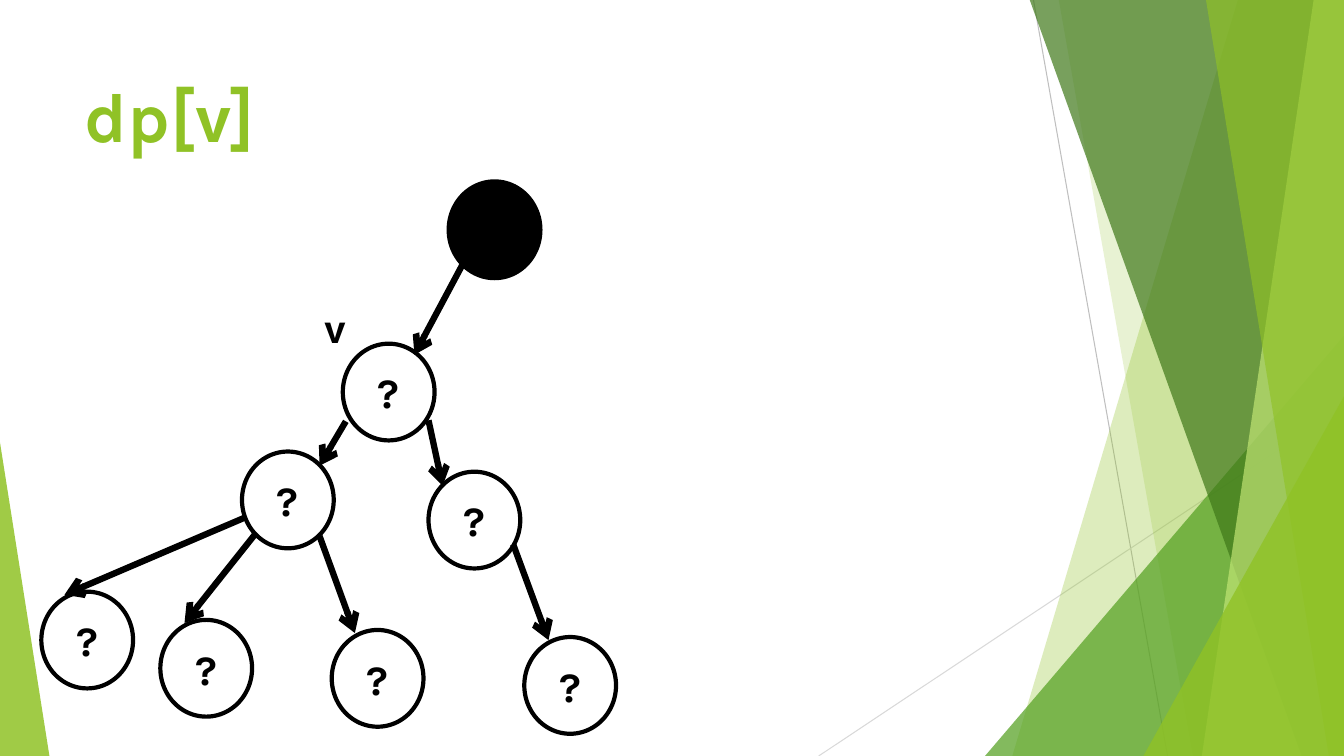
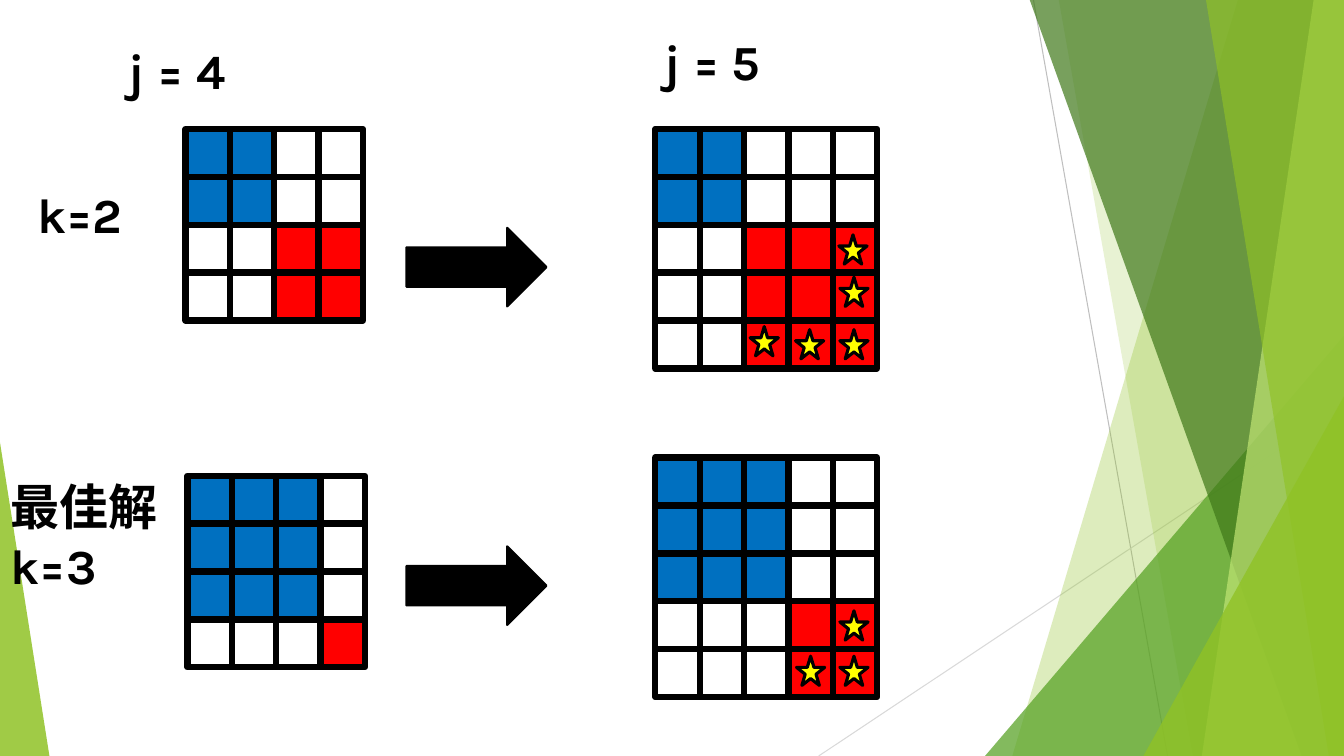
from dataclasses import dataclass

from lxml.etree import SubElement
from pptx import Presentation
from pptx.dml.color import RGBColor
from pptx.enum.shapes import MSO_CONNECTOR, MSO_SHAPE
from pptx.enum.text import MSO_ANCHOR, MSO_AUTO_SIZE, PP_ALIGN
from pptx.oxml.ns import qn
from pptx.util import Inches, Pt

BLACK = RGBColor(0x00, 0x00, 0x00)
BLUE = RGBColor(0x00, 0x70, 0xC0)
RED = RGBColor(0xFF, 0x00, 0x00)
YELLOW = RGBColor(0xFF, 0xFF, 0x00)
LIME = RGBColor(0x90, 0xC2, 0x26)
PALE_LIME = RGBColor(0xC0, 0xE4, 0x74)
GREEN = RGBColor(0x54, 0xA0, 0x21)
DARK_GREEN = RGBColor(0x3F, 0x78, 0x19)
GRAY = RGBColor(0xBF, 0xBF, 0xBF)
LIGHT_GRAY = RGBColor(0xD9, 0xD9, 0xD9)

FONT = "Karla"
WIDTH, HEIGHT = 13.33, 7.5
BAND_TOP = -0.01
NODE_W, NODE_H = 0.91, 0.96
CELL_W, CELL_H = 0.44, 0.95 / 2
STAR_W, STAR_H = 0.28, 0.29


@dataclass
class Band:
    top_x: float
    bottom_x: float
    color: RGBColor
    alpha: int


@dataclass
class Wedge:
    left: float
    top: float
    width: float
    apex: float
    color: RGBColor
    alpha: int


@dataclass
class Node:
    left: float
    top: float
    label: str = "?"


@dataclass
class Edge:
    x1: float
    y1: float
    x2: float
    y2: float


@dataclass
class Grid:
    left: float
    top: float
    size: int
    blue: int


@dataclass
class Label:
    text: str
    left: float
    top: float
    width: float
    height: float


FACETS = [
    Band(12.28, 10.04, LIME, 30),
    Band(10.5, 11.83, LIME, 20),
    Wedge(9.77, 3.33, 3.56, 1, GREEN, 72),
    Band(10.21, 12.91, DARK_GREEN, 70),
    Band(13.03, 11.92, PALE_LIME, 70),
    Band(11.96, 13.18, LIME, 65),
    Wedge(11.34, 3.93, 1.99, 1, LIME, 80),
    Wedge(0, 4.39, 0.49, 0, LIME, 85),
]

NODES = [
    Node(3.4, 3.41), Node(4.25, 4.68), Node(2.4, 4.48), Node(5.2, 6.32),
    Node(3.29, 6.25), Node(1.59, 6.15), Node(0.41, 5.87),
]

EDGES = [
    Edge(4.59, 2.62, 4.11, 3.52),
    Edge(4.25, 4.17, 4.39, 4.82),
    Edge(3.43, 4.18, 3.17, 4.62),
    Edge(5.09, 5.4, 5.44, 6.35),
    Edge(3.17, 5.32, 3.52, 6.28),
    Edge(2.53, 5.3, 1.83, 6.18),
    Edge(2.44, 5.13, 0.64, 5.9),
]

GRIDS = [
    Grid(1.84, 1.28, 4, 2), Grid(1.86, 4.72, 4, 3),
    Grid(6.5, 1.28, 5, 2), Grid(6.5, 4.54, 5, 3),
]

LABELS = [
    Label("j = 4", 1.18, 0.35, 1.43, 0.69),
    Label("j = 5", 6.49, 0.26, 1.43, 0.69),
    Label("k=2", 0.27, 1.78, 1.16, 0.69),
    Label("最佳解\nk=3", 0.01, 4.68, 1.81, 1.28),
]

STARS = [
    (8.33, 3.27), (8.33, 2.75), (7.89, 3.27), (7.44, 3.24),
    (8.32, 2.33), (8.33, 6.06), (8.33, 6.51), (7.9, 6.51),
]


def write(tf, text: str, *, size: float, color: RGBColor = BLACK,
          align=PP_ALIGN.LEFT, anchor=MSO_ANCHOR.TOP, wrap: bool = True) -> None:
    tf.word_wrap = wrap
    tf.vertical_anchor = anchor
    for i, line in enumerate(text.split("\n")):
        p = tf.add_paragraph() if i else tf.paragraphs[0]
        p.alignment = align
        r = p.add_run()
        r.text = line
        r.font.name = FONT
        r.font.size = Pt(size)
        r.font.bold = True
        r.font.color.rgb = color


def paint(shape, fill: RGBColor | None, line_width: float = 0, alpha: int = 100) -> None:
    shape.shadow.inherit = False
    if fill is None:
        shape.fill.background()
    else:
        shape.fill.solid()
        shape.fill.fore_color.rgb = fill
        if alpha < 100:
            clr = shape.element.spPr.find(".//" + qn("a:srgbClr"))
            SubElement(clr, qn("a:alpha"), val=str(alpha * 1000))
    if line_width:
        shape.line.color.rgb = BLACK
        shape.line.width = Pt(line_width)
    else:
        shape.line.fill.background()


def add_shape(s, kind, left: float, top: float, width: float, height: float,
              fill: RGBColor | None, line_width: float = 0, alpha: int = 100):
    shape = s.shapes.add_shape(kind, Inches(left), Inches(top), Inches(width), Inches(height))
    paint(shape, fill, line_width, alpha)
    return shape


def add_line(s, edge: Edge, color: RGBColor, width: float, arrow: bool = False):
    line = s.shapes.add_connector(MSO_CONNECTOR.STRAIGHT, Inches(edge.x1), Inches(edge.y1),
                                  Inches(edge.x2), Inches(edge.y2))
    line.line.color.rgb = color
    line.line.width = Pt(width)
    sp_pr = line.element.spPr
    if arrow:
        SubElement(sp_pr.find(qn("a:ln")), qn("a:tailEnd"), type="arrow")
    SubElement(sp_pr, qn("a:effectLst"))
    return line


def add_label(s, label: Label, size: float, wrap: bool = True) -> None:
    box = s.shapes.add_textbox(Inches(label.left), Inches(label.top),
                               Inches(label.width), Inches(label.height))
    write(box.text_frame, label.text, size=size, wrap=wrap)
    box.text_frame.auto_size = MSO_AUTO_SIZE.SHAPE_TO_FIT_TEXT


def add_facet(s, facet: Band | Wedge):
    if isinstance(facet, Wedge):
        shape = add_shape(s, MSO_SHAPE.ISOSCELES_TRIANGLE, facet.left, facet.top, facet.width,
                          HEIGHT - facet.top, facet.color, alpha=facet.alpha)
        shape.adjustments[0] = facet.apex
        return shape
    outline = s.shapes.build_freeform(Inches(facet.top_x), Inches(BAND_TOP))
    corners = [(WIDTH, BAND_TOP), (WIDTH, HEIGHT), (facet.bottom_x, HEIGHT)]
    outline.add_line_segments([(Inches(x), Inches(y)) for x, y in corners])
    shape = outline.convert_to_shape()
    paint(shape, facet.color, alpha=facet.alpha)
    return shape


def decorate_master(prs, s) -> None:
    parts = [add_line(s, Edge(10.25, 0, 11.58, HEIGHT), GRAY, 0.75),
             add_line(s, Edge(WIDTH, 4.03, 8.12, HEIGHT), LIGHT_GRAY, 0.75)]
    parts += [add_facet(s, facet) for facet in FACETS]
    tree = prs.slide_master.shapes.element
    for i, part in enumerate(parts):
        part.element.find(".//" + qn("p:cNvPr")).set("id", str(100 + i))
        tree.insert(2 + i, part.element)


def add_node(s, node: Node, fill: RGBColor | None = None) -> None:
    shape = add_shape(s, MSO_SHAPE.OVAL, node.left, node.top, NODE_W, NODE_H, fill, 3)
    if node.label:
        write(shape.text_frame, node.label, size=30, align=PP_ALIGN.CENTER,
              anchor=MSO_ANCHOR.MIDDLE)


def add_grid(s, grid: Grid) -> None:
    for row in range(grid.size):
        for col in range(grid.size):
            fill = None
            if max(row, col) < grid.blue:
                fill = BLUE
            elif min(row, col) >= grid.blue:
                fill = RED
            add_shape(s, MSO_SHAPE.RECTANGLE, grid.left + col * CELL_W,
                      grid.top + row * CELL_H, CELL_W, CELL_H, fill, 4.5)


def build_tree(s) -> None:
    title = s.shapes.title
    title.left, title.top = Inches(0.74), Inches(0.67)
    title.width, title.height = Inches(9.4), Inches(1.44)
    write(title.text_frame, "dp[v]", size=50, color=LIME)
    add_node(s, Node(4.45, 1.8, ""), BLACK)
    for node in NODES:
        add_node(s, node)
    for edge in EDGES:
        add_line(s, edge, BLACK, 4.5, arrow=True)
    add_label(s, Label("v", 3.12, 2.94, 0.42, 0.61), 30, wrap=False)


def build_grids(s) -> None:
    for label in LABELS:
        add_label(s, label, 35)
    for grid in GRIDS:
        add_grid(s, grid)
    for top in (2.26, 5.42):
        add_shape(s, MSO_SHAPE.RIGHT_ARROW, 4.03, top, 1.39, 0.78, BLACK, 1.5)
    for left, top in STARS:
        add_shape(s, MSO_SHAPE.STAR_5_POINT, left, top, STAR_W, STAR_H, YELLOW, 2.25)


def main() -> None:
    prs = Presentation()
    prs.slide_width, prs.slide_height = Inches(WIDTH), Inches(HEIGHT)
    tree = prs.slides.add_slide(prs.slide_layouts[5])
    decorate_master(prs, tree)
    build_tree(tree)
    build_grids(prs.slides.add_slide(prs.slide_layouts[6]))
    prs.save("out.pptx")


if __name__ == "__main__":
    main()
